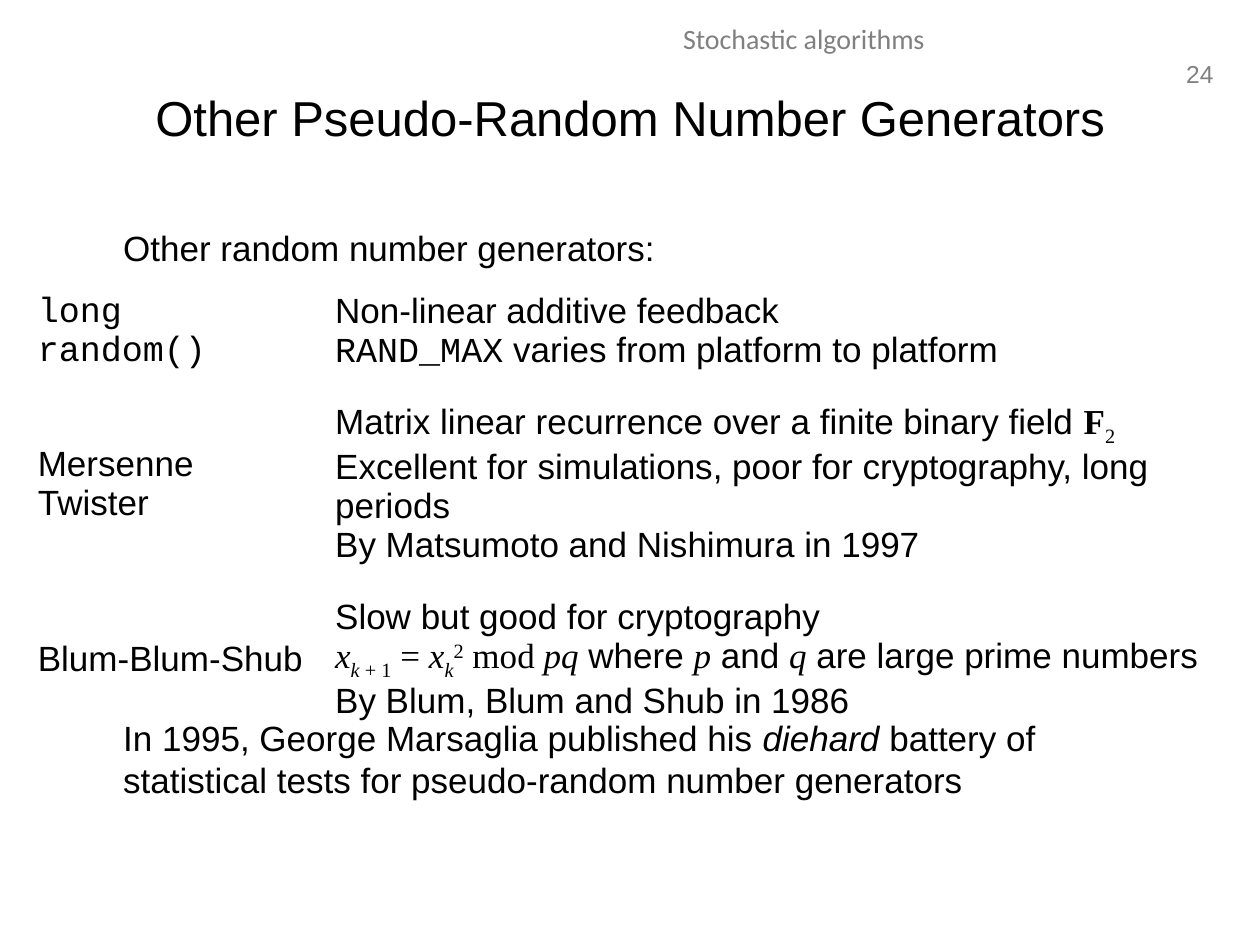
from lxml.etree import SubElement
from pptx import Presentation
from pptx.dml.color import RGBColor
from pptx.enum.text import MSO_ANCHOR as Anchor, PP_ALIGN as Align
from pptx.oxml.ns import qn
from pptx.util import Inches, Pt

BLACK, GREY = "000000", "808080"
SANS, MONO, SERIF = "Arial", "Courier New", "Times New Roman"
NO_STYLE_NO_GRID = "{2D5ABB26-0587-4C30-8999-92F81FD0307C}"

# Named run formats; "baseline" is in thousandths of a percent.
STYLES = {
    "sans": {"name": SANS},
    "em": {"name": SANS, "italic": True},
    "code": {"name": MONO},
    "math": {"name": SERIF},
    "var": {"name": SERIF, "italic": True},
    "field": {"name": SERIF, "bold": True},
    "sub": {"name": SERIF, "baseline": -25000},
    "varsub": {"name": SERIF, "italic": True, "baseline": -25000},
    "sup": {"name": SERIF, "baseline": 30000},
    "header": {"name": "Calibri"},
}

GENERATORS = [
    ([[("long random()", "code")]],
     [["Non-linear additive feedback"],
      [("RAND_MAX", "code"), " varies from platform to platform"]]),
    ([["Mersenne Twister"]],
     [["Matrix linear recurrence over a finite binary field ", ("F", "field"), ("2", "sub")],
      ["Excellent for simulations, poor for cryptography, long periods"],
      ["By Matsumoto and Nishimura in 1997"]]),
    ([["Blum-Blum-Shub"]],
     [["Slow but good for cryptography"],
      [("x", "var"), ("k ", "varsub"), ("+ 1", "sub"), (" = ", "math"),
       ("x", "var"), ("k", "varsub"), ("2", "sup"), (" mod ", "math"), ("pq", "var"),
       " where ", ("p", "var"), " and ", ("q", "var"), " are large prime numbers"],
      ["By Blum, Blum and Shub in 1986"]]),
]


def rgb(color):
    return RGBColor.from_string(color)


def write(tf, paragraphs, size=20, color=BLACK, align=Align.LEFT):
    """Fill a text frame; a run is a plain string or a (text, style) pair."""
    for i, runs in enumerate(paragraphs):
        p = tf.paragraphs[0] if i == 0 else tf.add_paragraph()
        p.alignment = align
        for run in runs:
            text, style = (run, "sans") if isinstance(run, str) else run
            r = p.add_run()
            r.text = text
            r.font.size = Pt(size)
            r.font.color.rgb = rgb(color)
            for key, value in STYLES[style].items():
                if key == "baseline":
                    r.font._element.set(key, str(value))
                else:
                    setattr(r.font, key, value)


def add_text(s, box, paragraphs, wrap=True, anchor=Anchor.TOP, **formats):
    tf = s.shapes.add_textbox(*map(Inches, box)).text_frame
    tf.word_wrap = wrap
    tf.vertical_anchor = anchor
    write(tf, paragraphs, **formats)
    return tf


def add_header(s):
    add_text(s, (9.29, 0.42, 0.44, 0.33), [["24"]], wrap=False,
             size=14, color=GREY, align=Align.RIGHT)
    add_text(s, (3.19, 0.12, 6.38, 0.4), [[("Stochastic algorithms", "header")]],
             size=16, color=GREY, align=Align.CENTER)


def add_body(s, box):
    """Place the opening and closing remarks, with a gap for the table."""
    tf = add_text(s, box, [
        ["Other random number generators:"],
        ["In 1995, George Marsaglia published his ", ("diehard", "em"),
         " battery of statistical tests for pseudo-random number generators"],
    ])
    for p in tf.paragraphs:
        p._p.get_or_add_pPr().set("marL", str(Inches(0.38)))
    tf.paragraphs[1].space_before = Pt(256)


def clear_borders(cell):
    tc_pr = cell._tc.get_or_add_tcPr()
    for side in ("a:lnL", "a:lnR", "a:lnT", "a:lnB"):
        SubElement(SubElement(tc_pr, qn(side), w="0"), qn("a:noFill"))


def add_generators(s, box, widths, heights):
    table = s.shapes.add_table(len(heights), len(widths), *map(Inches, box)).table
    table.first_row = table.horz_banding = False
    table._tbl.tblPr.find(qn("a:tableStyleId")).text = NO_STYLE_NO_GRID
    for column, width in zip(table.columns, widths):
        column.width = Inches(width)
    for row, height, contents in zip(table.rows, heights, GENERATORS):
        row.height = Inches(height)
        for cell, paragraphs in zip(row.cells, contents):
            clear_borders(cell)
            cell.fill.background()
            cell.vertical_anchor = Anchor.MIDDLE
            write(cell.text_frame, paragraphs)


def main():
    prs = Presentation()
    prs.slide_width, prs.slide_height = Inches(10), Inches(7.5)
    s = prs.slides.add_slide(prs.slide_layouts[6])
    add_header(s)
    add_text(s, (0.5, 0.3, 9, 1.25), [["Other Pseudo-Random Number Generators"]],
             anchor=Anchor.MIDDLE, size=28, align=Align.CENTER)
    add_body(s, (0.5, 1.75, 9, 4.95))
    add_generators(s, (0.2, 2.18, 9.61, 3.54), (2.36, 7.25), (0.92, 1.31, 1.31))
    prs.save("out.pptx")


if __name__ == "__main__":
    main()
